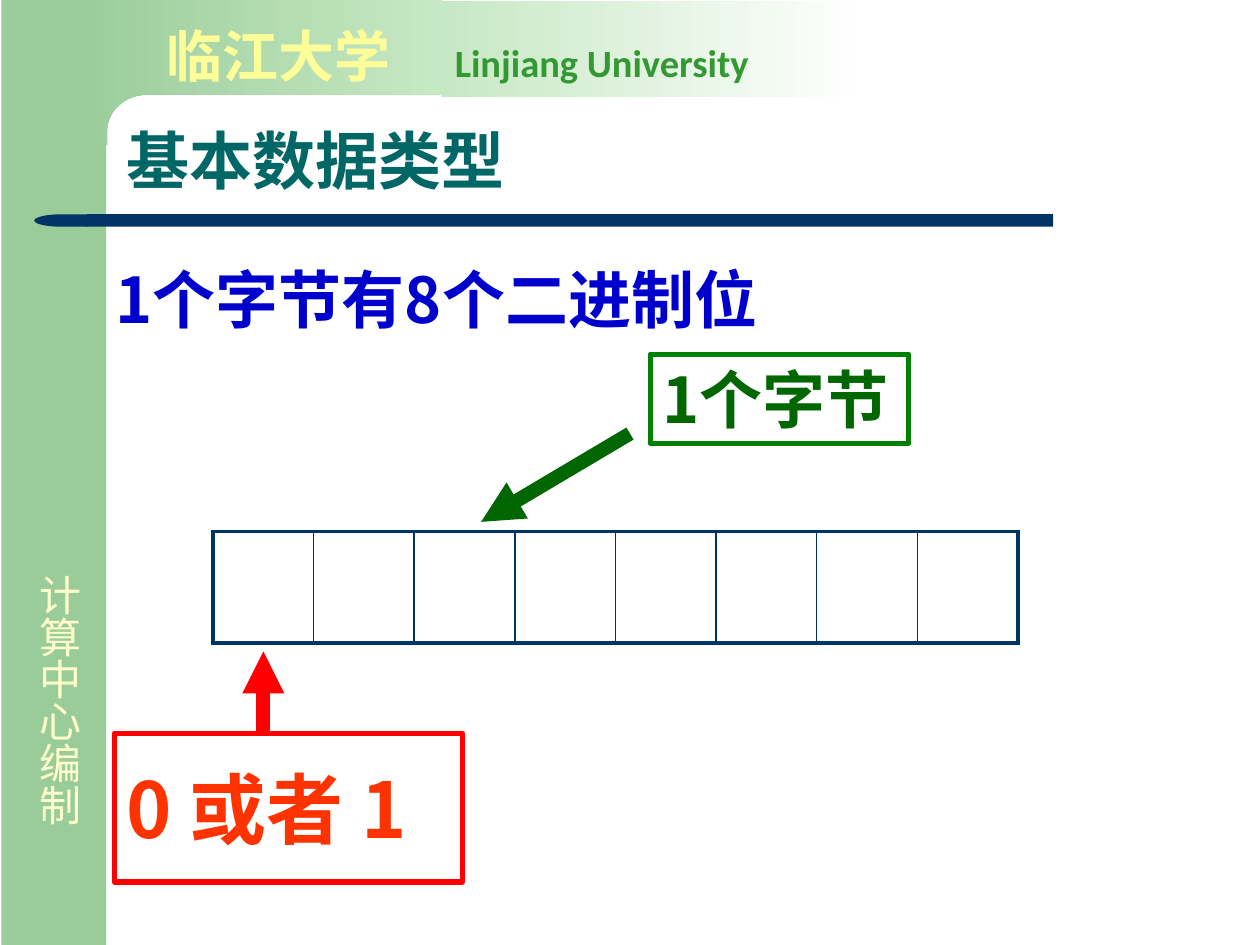
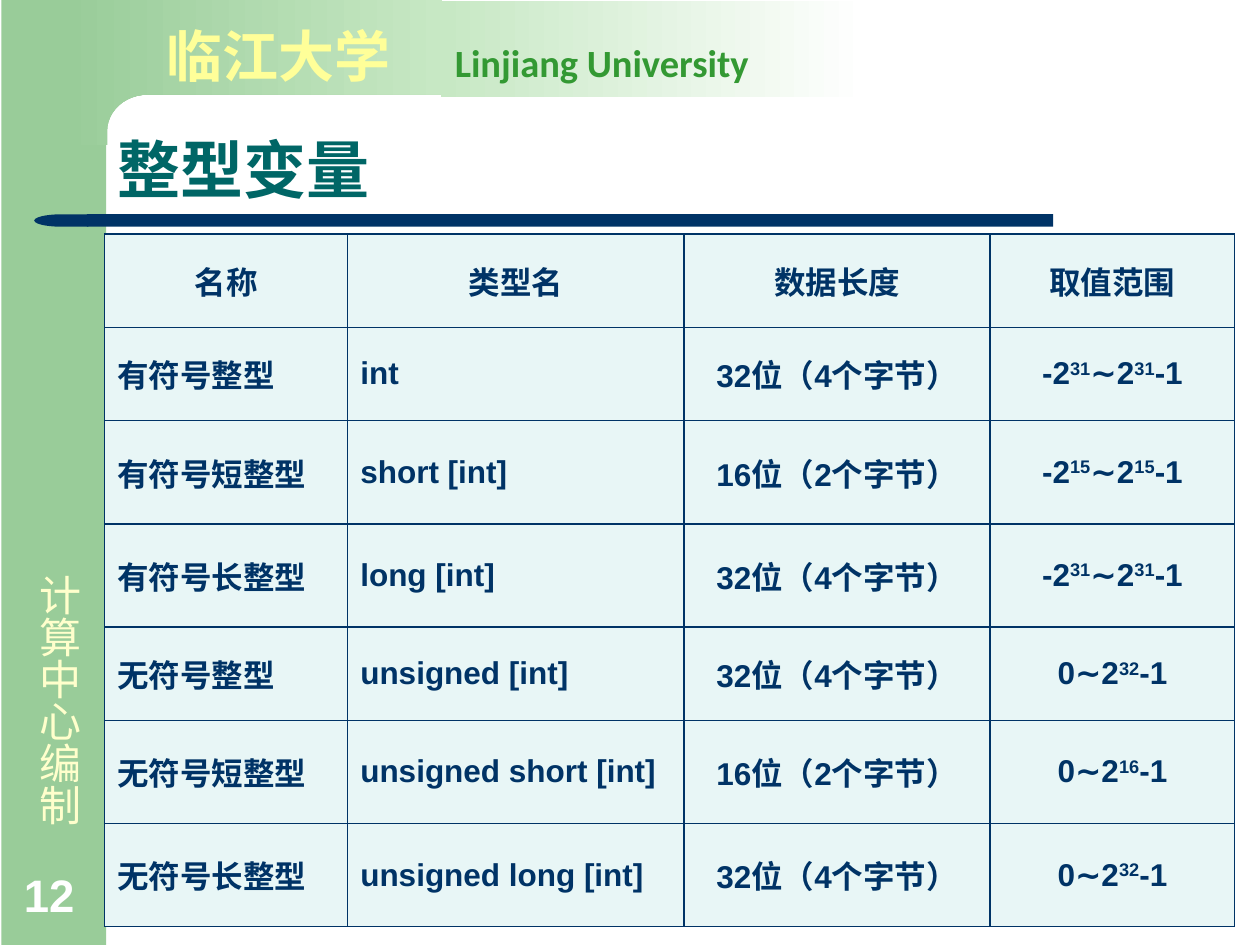
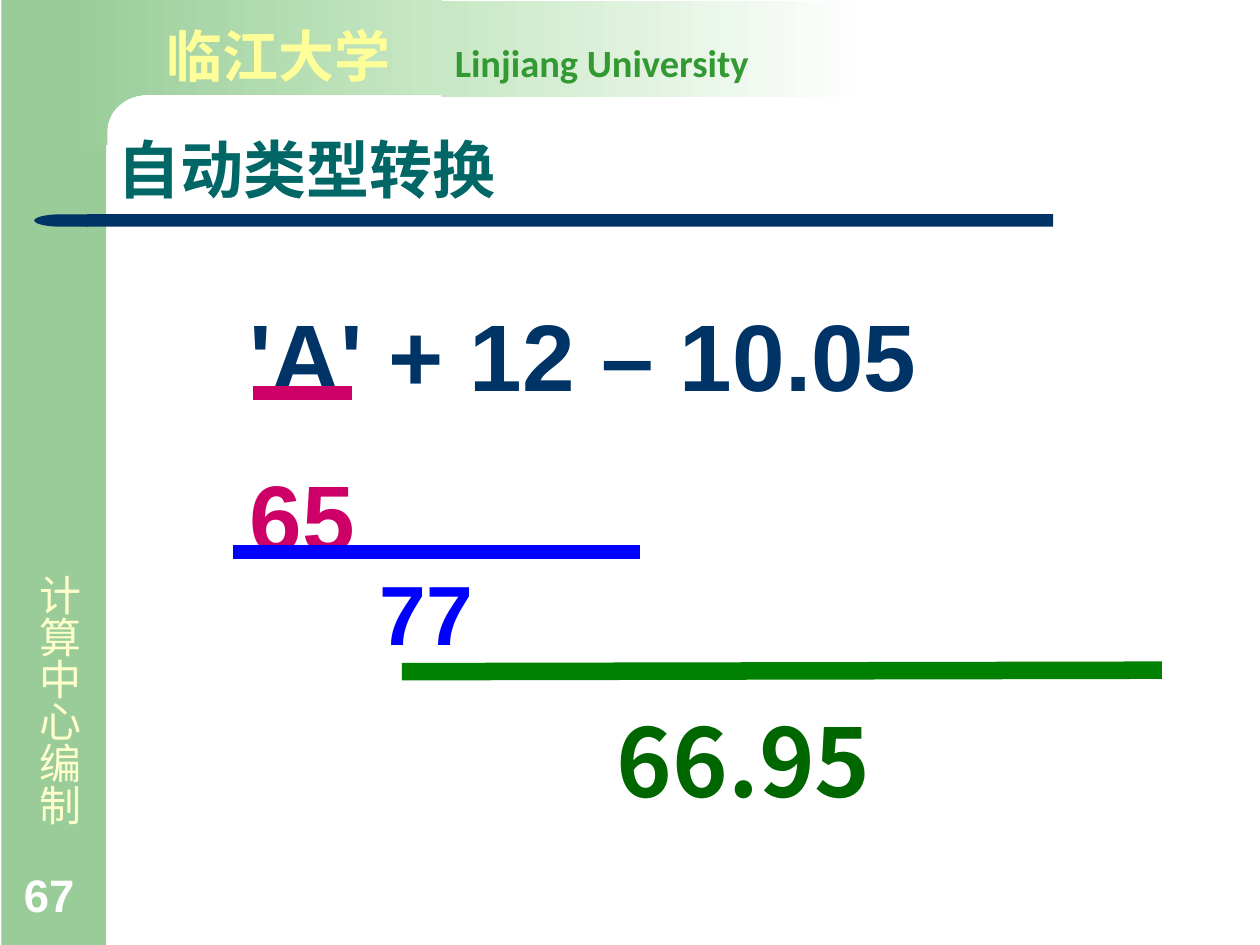
import math
from dataclasses import dataclass
from typing import NamedTuple, Optional

from lxml import etree
from pptx import Presentation
from pptx import util as u
from pptx.dml.color import RGBColor
from pptx.enum import shapes, text
from pptx.oxml import ns

ALIGN, ANCHOR, SHAPE = text.PP_ALIGN, text.MSO_ANCHOR, shapes.MSO_SHAPE
CJK_FONT = "Noto Sans CJK SC"


# Theme and descriptions of repeated elements
class Style(NamedTuple):
    size: float
    color: str
    font: str = "Arial"
    bold: bool = True


@dataclass(frozen=True)
class Theme:
    navy: str = "003366"
    leaf: str = "99CC99"
    mist: str = "C7E8C4"
    white: str = "FFFFFF"
    cell: str = "E8F6F6"
    green: str = "008000"
    dark_green: str = "006600"
    red: str = "FF0000"
    pink: str = "CC0066"
    blue: str = "0000FF"
    title: Style = Style(36, "006666")
    statement: Style = Style(36, "0000CC", CJK_FONT)
    school: Style = Style(32, "FFFF99")
    school_english: Style = Style(22, "339933", "Calibri")
    department: Style = Style(24, "FFFFCC", bold=False)
    number: Style = Style(26, "FFFFFF")
    table: Style = Style(18, "003366")
    byte: Style = Style(36, "006600", CJK_FONT)
    bit: Style = Style(44, "FF3300", CJK_FONT)
    expression: Style = Style(54, "003366")
    code: Style = Style(54, "CC0066")
    total: Style = Style(48, "0000FF")
    result: Style = Style(54, "006600", CJK_FONT)


THEME = Theme()


class Box(NamedTuple):
    left: float
    top: float
    width: float
    height: float

    def lengths(self) -> list:
        return [u.Cm(value) for value in self]


@dataclass(frozen=True)
class Label:
    box: Box
    words: str
    style: Style
    align: ALIGN = ALIGN.LEFT
    anchor: ANCHOR = ANCHOR.TOP
    wrap: bool = True
    kind: Optional[SHAPE] = None
    outline: Optional[str] = None


@dataclass(frozen=True)
class Stroke:
    x1: float
    y1: float
    x2: float
    y2: float
    color: str
    weight: float = 8
    arrow: bool = False


@dataclass(frozen=True)
class Column:
    heading: str
    width: float
    align: ALIGN
    space: float


TITLE_BOX = Box(2.11, 2.13, 22.02, 2.18)
STATEMENT_BOX = Box(2.08, 4.75, 22.02, 2.18)
NUMBER_BOX = Box(0.23, 17.53, 1.63, 1.17)


# Drawing helpers
def rgb(color: str) -> RGBColor:
    return RGBColor.from_string(color)


def format_span(span, style: Style) -> None:
    span.font.size = u.Pt(style.size)
    span.font.bold = style.bold
    span.font.name = style.font
    span.font.color.rgb = rgb(style.color)
    east_asian = etree.SubElement(span.font.fill._xPr, ns.qn("a:ea"))
    east_asian.set("typeface", CJK_FONT)


def format_para(para, style: Style, align: ALIGN = ALIGN.LEFT) -> None:
    para.alignment = align
    for span in para.runs:
        format_span(span, style)


def fill_shape(shape, color: str, end_color: Optional[str] = None) -> None:
    shape.shadow.inherit = False
    shape.line.fill.background()
    if end_color is None:
        shape.fill.solid()
        shape.fill.fore_color.rgb = rgb(color)
        return
    shape.fill.gradient()
    shape.fill.gradient_angle = 0
    for stop, position, shade in zip(shape.fill.gradient_stops, (0, 1), (color, end_color)):
        stop.position = position
        stop.color.rgb = rgb(shade)


def add_label(page, label: Label):
    if label.kind is None:
        shape = page.shapes.add_textbox(*label.box.lengths())
    else:
        shape = page.shapes.add_shape(label.kind, *label.box.lengths())
        shape.shadow.inherit = False
        shape.fill.background()
        shape.line.fill.background()
    if label.outline:
        shape.line.color.rgb = rgb(label.outline)
        shape.line.width = u.Pt(3)
    frame = shape.text_frame
    frame.text = label.words
    frame.word_wrap = label.wrap
    frame.vertical_anchor = label.anchor
    for para in frame.paragraphs:
        format_para(para, label.style, label.align)
    return shape


def add_stroke(page, stroke: Stroke) -> None:
    ends = [u.Cm(value) for value in (stroke.x1, stroke.y1, stroke.x2, stroke.y2)]
    line = page.shapes.add_connector(shapes.MSO_CONNECTOR.STRAIGHT, *ends)
    line.line.color.rgb = rgb(stroke.color)
    line.line.width = u.Pt(stroke.weight)
    properties = line.element.spPr
    if stroke.arrow:
        tail = etree.SubElement(properties.find(ns.qn("a:ln")), ns.qn("a:tailEnd"))
        tail.set("type", "triangle")
    etree.SubElement(properties, ns.qn("a:effectLst"))


def set_borders(cell, left: float = 1, right: float = 1, top: float = 1, bottom: float = 1) -> None:
    properties = cell._tc.get_or_add_tcPr()
    for side, weight in zip("LRTB", (left, right, top, bottom)):
        line = etree.SubElement(properties, ns.qn(f"a:ln{side}"), w=str(u.Pt(weight)))
        solid = etree.SubElement(line, ns.qn("a:solidFill"))
        etree.SubElement(solid, ns.qn("a:srgbClr"), val=THEME.navy)


def add_grid(page, box: Box, widths: list, heights: list):
    table = page.shapes.add_table(len(heights), len(widths), *box.lengths()).table
    table.first_row = table.horz_banding = False
    for column, width in zip(table.columns, widths):
        column.width = u.Cm(width)
    for row, height in zip(table.rows, heights):
        row.height = u.Cm(height)
    return table


def set_title(page, words: str, box: Box = TITLE_BOX, style: Style = THEME.title) -> None:
    title = page.shapes.title
    title.left, title.top, title.width, title.height = box.lengths()
    frame = title.text_frame
    frame.text = words
    frame.word_wrap = True
    frame.auto_size = text.MSO_AUTO_SIZE.NONE
    frame.vertical_anchor = ANCHOR.BOTTOM
    frame.paragraphs[0].line_spacing = 0.9
    format_para(frame.paragraphs[0], style)


def add_number(page, number: str) -> None:
    add_label(page, Label(NUMBER_BOX, number, THEME.number, anchor=ANCHOR.BOTTOM))


# Shared frame, drawn once and moved to the layout
def add_corner(page):
    center_x, center_y, radius_x, radius_y = 2.97, 2.65, 0.81, 0.74
    steps = 12
    angles = [math.pi / 2 * step / steps for step in range(steps + 1)]
    curve = [(center_x - radius_x * math.sin(a), center_y - radius_y * math.cos(a)) for a in angles]
    points = [(8.92, 1.91), *curve, (2.16, 2.92), (1.3, 2.92), (1.3, 0)]
    builder = page.shapes.build_freeform(u.Cm(8.92), u.Cm(0))
    builder.add_line_segments([(u.Cm(x), u.Cm(y)) for x, y in points])
    return builder.convert_to_shape()


def build_frame(page, layout) -> None:
    def block(kind: SHAPE, box: Box, color: str, end_color: Optional[str] = None):
        shape = page.shapes.add_shape(kind, *box.lengths())
        fill_shape(shape, color, end_color)
        return shape

    side = block(SHAPE.RECTANGLE, Box(0.03, 0, 2.11, 19.05), THEME.leaf)
    corner = add_corner(page)
    fill_shape(corner, THEME.leaf, THEME.mist)
    rule = block(SHAPE.RECTANGLE, Box(1.75, 4.32, 19.48, 0.25), THEME.navy)
    cap = block(SHAPE.FLOWCHART_DELAY, Box(0.69, 4.32, 1.09, 0.25), THEME.navy)
    cap.rotation = 180
    department = add_label(page, Label(Box(0.3, 11.33, 1.52, 5.79), "计算中心编制", THEME.department))
    department.text_frame._txBody.bodyPr.set("vert", "eaVert")
    fade = block(SHAPE.RECTANGLE, Box(8.89, 0.03, 8.61, 1.93), THEME.mist, THEME.white)

    # The school name uses a tab stop between its two languages
    school = add_label(page, Label(Box(3.1, 0.3, 15.6, 1.6), "临江大学\t", THEME.school))
    para = school.text_frame.paragraphs[0]
    english = para.add_run()
    english.text = "Linjiang University"
    format_span(english, THEME.school_english)
    tabs = etree.SubElement(para._p.get_or_add_pPr(), ns.qn("a:tabLst"))
    etree.SubElement(tabs, ns.qn("a:tab"), pos=str(u.Cm(5.82)), algn="l")

    for shape in (side, corner, rule, cap, department, fade, school):
        layout.shapes.element.append(shape.element)


# Slide: bits of a byte
def build_byte(page) -> None:
    set_title(page, "1个字节有8个二进制位", STATEMENT_BOX, THEME.statement)
    bits, width, height = 8, 2.03, 2.24
    table = add_grid(page, Box(4.29, 10.72, bits * width, height), [width] * bits, [height])
    for index, cell in enumerate(table.iter_cells()):
        left = 2.25 if index == 0 else 1
        right = 2.25 if index == bits - 1 else 1
        set_borders(cell, left, right, 2.25, 2.25)
        cell.fill.background()

    add_stroke(page, Stroke(12.7, 8.74, 9.7, 10.52, THEME.dark_green, arrow=True))
    add_stroke(page, Stroke(5.31, 14.73, 5.31, 13.13, THEME.red, arrow=True))
    for label in (
        Label(Box(13.11, 7.14, 5.21, 1.8), "1个字节", THEME.byte, anchor=ANCHOR.MIDDLE,
              wrap=False, kind=SHAPE.RECTANGLE, outline=THEME.green),
        Label(Box(2.31, 14.78, 7.01, 3), "0 或者 1", THEME.bit, anchor=ANCHOR.MIDDLE,
              wrap=False, kind=SHAPE.RECTANGLE, outline=THEME.red),
    ):
        add_label(page, label)
    heading = add_label(page, Label(TITLE_BOX, "基本数据类型", THEME.title, anchor=ANCHOR.BOTTOM,
                                    kind=SHAPE.ROUNDED_RECTANGLE))
    heading.adjustments[0] = 0.3
    heading.text_frame.paragraphs[0].line_spacing = 0.9


# Slide: integer types
INTEGER_COLUMNS = [
    Column("名称", 4.9, ALIGN.LEFT, 6.7),
    Column("类型名", 6.78, ALIGN.LEFT, 6.7),
    Column("数据长度", 6.17, ALIGN.CENTER, 5.8),
    Column("取值范围", 4.93, ALIGN.CENTER, 0),
]
# Exponents stand between carets
INTEGER_ROWS = [
    ("有符号整型", "int", "32位（4个字节）", "-2^31^∼2^31^-1"),
    ("有符号短整型", "short [int]", "16位（2个字节）", "-2^15^∼2^15^-1"),
    ("有符号长整型", "long [int]", "32位（4个字节）", "-2^31^∼2^31^-1"),
    ("无符号整型", "unsigned [int]", "32位（4个字节）", "0∼2^32^-1"),
    ("无符号短整型", "unsigned short [int]", "16位（2个字节）", "0∼2^16^-1"),
    ("无符号长整型", "unsigned long [int]", "32位（4个字节）", "0∼2^32^-1"),
]


def write_cell(cell, words: str, align: ALIGN, space: float) -> None:
    set_borders(cell)
    cell.fill.solid()
    cell.fill.fore_color.rgb = rgb(THEME.cell)
    cell.vertical_anchor = ANCHOR.MIDDLE
    para = cell.text_frame.paragraphs[0]
    para.space_before = u.Pt(space)
    for index, piece in enumerate(words.split("^")):
        span = para.add_run()
        span.text = piece
        if index % 2:
            span._r.get_or_add_rPr().set("baseline", "30000")
    format_para(para, THEME.table, align)


def build_integers(page) -> None:
    set_title(page, "整型变量")
    add_number(page, "12")
    low, high = 1.88, 2.08
    heights = [low, low, high, high, low, high, high]
    widths = [column.width for column in INTEGER_COLUMNS]
    table = add_grid(page, Box(2.11, 4.72, sum(widths), sum(heights)), widths, heights)
    for index, column in enumerate(INTEGER_COLUMNS):
        write_cell(table.cell(0, index), column.heading, ALIGN.CENTER, 7.7)
        for row, values in enumerate(INTEGER_ROWS, start=1):
            write_cell(table.cell(row, index), values[index], column.align, column.space)


# Slide: automatic conversion
def build_conversion(page) -> None:
    set_title(page, "自动类型转换")
    add_number(page, "67")
    expression = add_label(page, Label(Box(3.71, 5.51, 18.21, 11.4), "'A' + 12 – 10.05\n65",
                                       THEME.expression))
    frame = expression.text_frame
    frame.margin_left, frame.margin_right = u.Cm(1.32), u.Cm(0.05)
    frame.margin_top = frame.margin_bottom = u.Cm(0.03)
    for para in frame.paragraphs:
        para.line_spacing = 1.2
        para.space_before = u.Pt(14)
    frame.paragraphs[1].runs[0].font.color.rgb = rgb(THEME.code.color)

    for stroke in (
        Stroke(5.11, 7.92, 7.09, 7.92, THEME.pink),
        Stroke(4.7, 11.13, 12.9, 11.13, THEME.blue),
        Stroke(8.1, 13.54, 23.42, 13.51, THEME.green, weight=10),
    ):
        add_stroke(page, stroke)
    for box, words, style in (
        (Box(6.5, 11.33, 4.19, 2.01), "77", THEME.total),
        (Box(10.69, 13.72, 8.61, 3.2), "66.95", THEME.result),
    ):
        add_label(page, Label(box, words, style, ALIGN.CENTER, ANCHOR.MIDDLE, wrap=False))


def main() -> None:
    deck = Presentation()
    deck.slide_width, deck.slide_height = u.Cm(25.4), u.Cm(19.05)
    layout = deck.slide_layouts.get_by_name("Title Only")
    builders = (build_byte, build_integers, build_conversion)
    pages = [deck.slides.add_slide(layout) for _ in builders]
    build_frame(pages[0], layout)
    for page, build in zip(pages, builders):
        build(page)
    deck.save("out.pptx")


if __name__ == "__main__":
    main()
